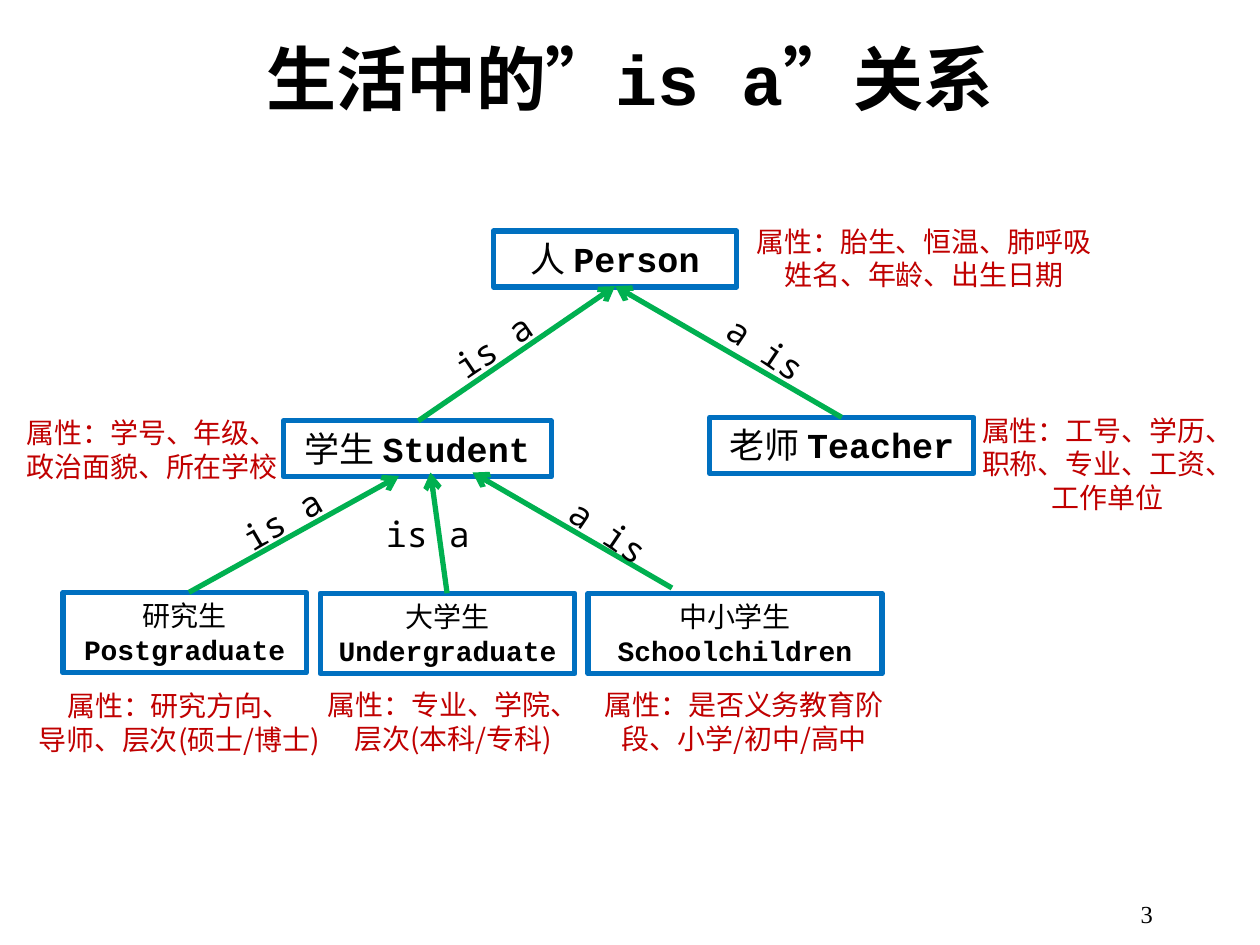
from lxml import etree
from pptx import Presentation
from pptx.dml.color import RGBColor
from pptx.enum import shapes, text
from pptx.oxml.ns import qn
from pptx.util import Pt

COLORS = {"text": "000000", "box": "0070C0", "arrow": "00B050", "note": "C00000"}
SERIF, MONO, LABEL, NOTE = "Times New Roman", "Courier New", "Noto Sans Mono", "Noto Sans CJK SC"
CENTER, RIGHT = text.PP_ALIGN.CENTER, text.PP_ALIGN.RIGHT
TOP, MIDDLE = text.MSO_ANCHOR.TOP, text.MSO_ANCHOR.MIDDLE

# All places inside the tree are relative to its top left corner.
# Class boxes: Chinese name, English name, box
PARENTS = [
    ("人 ", "Person", (282, 12, 139, 32)),
    ("学生 ", "Student", (162, 120.5, 153, 32)),
    ("老师 ", "Teacher", (405.5, 118.5, 151, 32)),
]
LEAVES = [
    ("研究生", "Postgraduate", (36, 218.5, 139, 46)),
    ("大学生", "Undergraduate", (183, 219, 145.5, 46)),
    ("中小学生", "Schoolchildren", (336, 219, 168, 46)),
]
# Attributes: paragraphs, box
NOTES = [
    (["属性：胎生、恒温、肺呼吸", "姓名、年龄、出生日期"], (408, 4.5, 240, 46)),
    (["属性：学号、年级、政治面貌、所在学校"], (6, 114, 162, 46)),
    (["属性：工号、学历、职称、专业、工资、\n工作单位"], (552, 112.5, 162, 66)),
    (["属性：研究方向、", "导师、层次(硕士/博士)"], (14.5, 270, 175.5, 46)),
    (["属性：专业、学院、层次(本科/专科)"], (178, 269.5, 162, 46)),
    (["属性：是否义务教育阶段、小学/初中/高中"], (336, 269.5, 178.5, 46)),
]
# Relations: child end, parent end, label, label corner, label rotation
LINKS = [
    ((239, 120.5), (351.5, 43.5), "is a", (250, 62), 326),
    ((481, 118.5), (351.5, 43.5), "a is", (405.5, 63.5), 34),
    ((108, 218.5), (228, 152), "is a", (129.5, 161), 330),
    ((255.5, 219), (246, 150), "is a", (212.5, 169.5), 0),
    ((384, 216), (270, 150), "a is", (315.5, 168), 34),
]


def rgb(name):
    return RGBColor.from_string(COLORS[name])


def write(sp, paragraphs, size, color="text", align=CENTER, anchor=TOP, wrap=True):
    """Fill a shape with paragraphs, each a list of (text, font, bold)."""
    tf = sp.text_frame
    tf.word_wrap = wrap
    tf.vertical_anchor = anchor
    for i, runs in enumerate(paragraphs):
        p = tf.add_paragraph() if i else tf.paragraphs[0]
        p.alignment = align
        for words, font, bold in runs:
            for j, line in enumerate(words.split("\n")):
                if j:
                    p.add_line_break()
                r = p.add_run()
                r.text = line
                r.font.name, r.font.size, r.font.bold = font, Pt(size), bold
                r.font.color.rgb = rgb(color)


def add_text(s, box, paragraphs, size, **style):
    sp = s.shapes.add_textbox(*map(Pt, box))
    write(sp, paragraphs, size, **style)
    return sp


def add_class_box(s, box, paragraphs, size):
    sp = s.shapes.add_shape(shapes.MSO_SHAPE.RECTANGLE, *map(Pt, box))
    sp.shadow.inherit = False
    sp.fill.background()
    sp.line.color.rgb = rgb("box")
    sp.line.width = Pt(3)
    write(sp, paragraphs, size)


def add_arrow(s, start, end):
    c = s.shapes.add_connector(shapes.MSO_CONNECTOR.STRAIGHT, *map(Pt, start + end))
    c.line.color.rgb = rgb("arrow")
    c.line.width = Pt(3)
    etree.SubElement(c.line._get_or_add_ln(), qn("a:tailEnd"), type="arrow")
    etree.SubElement(c._element.spPr, qn("a:effectLst"))


def draw_tree(s, left, top):
    def place(x, y, *size):
        return (left + x, top + y, *size)

    for chinese, english, box in PARENTS:
        add_class_box(s, place(*box), [[(chinese, SERIF, False), (english, MONO, True)]], 20)
    for chinese, english, box in LEAVES:
        add_class_box(s, place(*box), [[(chinese, SERIF, False)], [(english, MONO, True)]], 16)
    for child, parent, label, corner, rotation in LINKS:
        add_arrow(s, place(*child), place(*parent))
        sp = add_text(s, place(*corner, 64, 32), [[(label, LABEL, False)]], 20)
        sp.rotation = rotation
    for lines, box in NOTES:
        add_text(s, place(*box), [[(line, NOTE, False)] for line in lines], 16, color="note")


def main():
    prs = Presentation()
    prs.slide_width, prs.slide_height = Pt(720), Pt(540)
    s = prs.slides.add_slide(prs.slide_layouts[6])
    add_text(s, (54, 2, 612, 85), [[("生活中的”is a”关系", MONO, True)]], 40, anchor=MIDDLE)
    draw_tree(s, 0, 120)
    add_text(s, (516, 504, 150, 36), [[("3", SERIF, False)]], 14,
             align=RIGHT, anchor=MIDDLE, wrap=False)
    prs.save("out.pptx")


if __name__ == "__main__":
    main()
